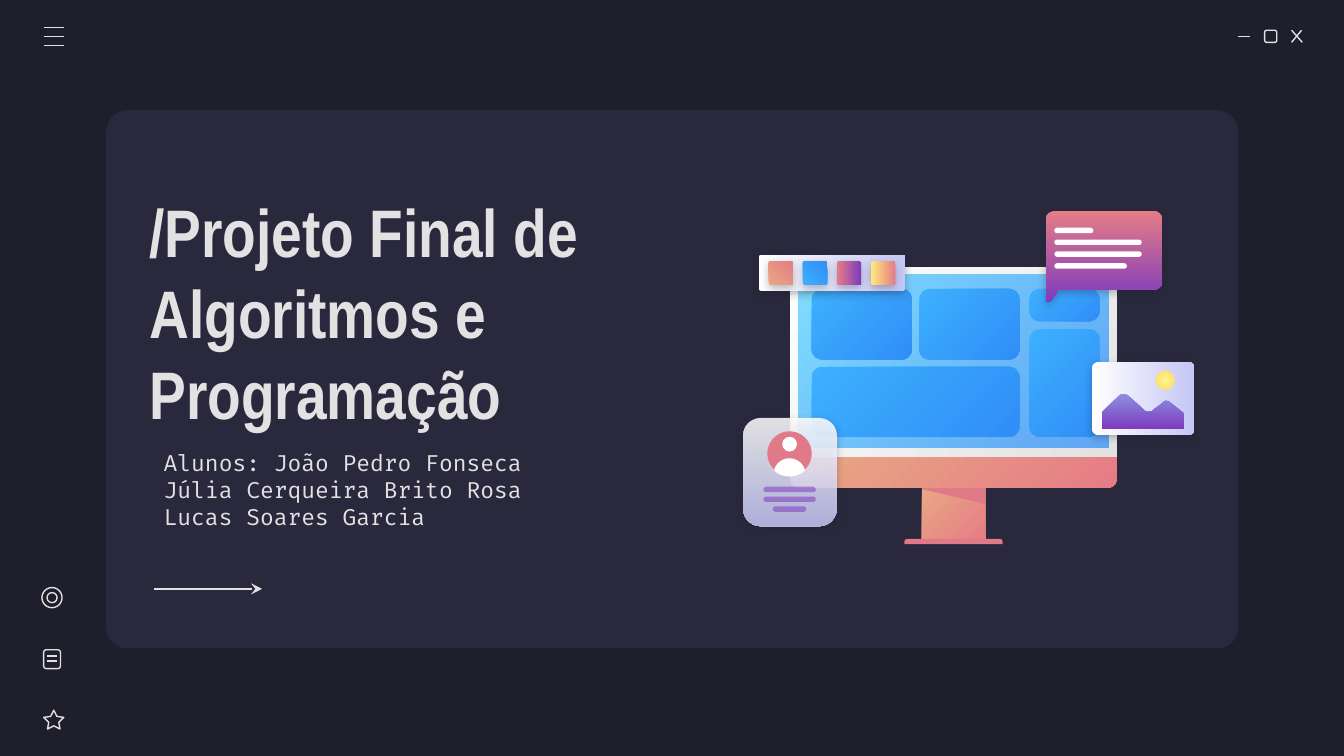
from lxml.etree import SubElement
from pptx import Presentation
from pptx.dml.color import RGBColor as RGB
from pptx.enum.shapes import MSO_CONNECTOR as Conn, MSO_SHAPE as Geo
from pptx.enum.text import MSO_ANCHOR as Anchor
from pptx.oxml.ns import qn
from pptx.util import Emu, Inches, Pt

W = Inches(10)
H = Emu(W * 9 // 16)
COLS, ROWS = 100, 100 * 9 / 16

T = {
    "bg": "1E1E2C", "ink": "E2E2E2", "stroke": 0.75,
    "title": ("Arial Narrow", 36, True), "body": ("Fira Code", 12, False),
    "fills": {
        "panel": (None, ("29283D", 100)),
        "white": (None, ("FFFFFF", 100)),
        "rose": (None, ("E07A88", 100)),
        "violet": (None, ("7E3BBE", 54)),
        "warm": (45, ("E9A984", 100), ("E57C85", 100)),
        "bezel": (45, ("FFFFFF", 100), ("E2E2E2", 100)),
        "screen": (45, ("80DFFF", 100), ("318FFA", 72)),
        "blue": (45, ("3DB0FD", 100), ("308EF7", 100)),
        "sunset": (90, ("E57C85", 100), ("7E3BBE", 100)),
        "glass": (90, ("FFFFFF", 86), ("C5C7F4", 86)),
        "paper": (90, ("FFFFFF", 100), ("C5C7F4", 100)),
        "dusk": (90, ("8D90E1", 100), ("7E3BBE", 100)),
        "gold": (90, ("FFEA7D", 100), ("E57C85", 100)),
        "sun": ("circle", ("FFF68E", 100), ("FFD966", 100)),
    },
}

TEXTS = [
    ((11.2, 34.15, 32.4, 4.6), "body",
     ["Alunos: João Pedro Fonseca", "Júlia Cerqueira Brito Rosa", "Lucas Soares Garcia"]),
    ((10.15, 14.4, 44.7, 17.6), "title", ["/Projeto Final de Algoritmos e Programação"]),
]

TILES = [(60.4, 21.5, 7.45, 5.25), (60.4, 27.3, 15.45, 5.2), (68.4, 21.5, 7.45, 5.25),
         (76.6, 21.5, 5.2, 2.4), (76.6, 24.5, 5.2, 8)]
MESSAGE_WIDTHS = [2.9, 6.5, 6.5, 5.4]
PROFILE_WIDTHS = [3.9, 3.9, 2.5]
SWATCHES = ["warm", "blue", "sunset", "gold"]

BUBBLE = [(78.5, 15.7), (78.1, 15.7, 77.8, 16, 77.8, 16.4), (77.8, 22.4),
          (77.8, 22.5, 77.9, 22.5, 78, 22.5), (78.1, 22.5), (78.8, 21.55), (85.9, 21.55),
          (86.2, 21.55, 86.5, 21.2, 86.5, 20.9), (86.5, 16.4),
          (86.5, 16, 86.2, 15.7, 85.9, 15.7)]
SHOULDERS = [(58.75, 34.1), (58.2, 34.1, 57.7, 34.5, 57.6, 35),
             (57.9, 35.3, 58.3, 35.45, 58.75, 35.45),
             (59.2, 35.45, 59.6, 35.3, 59.9, 35), (59.8, 34.5, 59.3, 34.1, 58.75, 34.1)]
HILLS = [(83.6, 29.3), (83.5, 29.3, 83.4, 29.3, 83.3, 29.4), (82.1, 30.6),
         (82, 30.7, 82, 30.7, 82, 30.8), (82, 31.9), (88.1, 31.9), (88.1, 30.9),
         (88.1, 30.8, 88, 30.7, 88, 30.7), (87, 29.9),
         (86.8, 29.8, 86.6, 29.8, 86.5, 30), (85.7, 30.6),
         (85.5, 30.7, 85.3, 30.7, 85.1, 30.5), (83.9, 29.4), (83.8, 29.3, 83.7, 29.3, 83.6, 29.3)]


def x(cols):
    return Emu(round(W * cols / COLS))


def y(rows):
    return Emu(round(H * rows / ROWS))


def paint(sp, fill, shadow=False):
    sp.shadow.inherit = False
    if fill is None:
        sp.fill.background()
        sp.line.color.rgb = RGB.from_string(T["ink"])
        sp.line.width = Pt(T["stroke"])
        return sp
    angle, *stops = T["fills"][fill]
    sp.line.fill.background()
    if angle is None:
        sp.fill.solid()
        colors = [sp.fill.fore_color]
    else:
        sp.fill.gradient()
        colors = [stop.color for stop in sp.fill.gradient_stops]
    for color, (value, _) in zip(colors, stops):
        color.rgb = RGB.from_string(value)
    props = sp._element.spPr
    for node, (_, alpha) in zip(list(props.iter(qn("a:srgbClr"))), stops):
        if alpha < 100:
            SubElement(node, qn("a:alpha"), val=str(alpha * 1000))
    if angle == "circle":
        grad = props.find(qn("a:gradFill"))
        grad.remove(grad.find(qn("a:lin")))
        radial = SubElement(grad, qn("a:path"), path="circle")
        SubElement(radial, qn("a:fillToRect"), l="50000", t="50000", r="50000", b="50000")
    elif angle:
        sp.fill.gradient_angle = 360 - angle
    if shadow:
        outer = SubElement(props.find(qn("a:effectLst")), qn("a:outerShdw"), blurRad=str(Pt(4.5)),
                           dist=str(Pt(1.5)), dir="5400000", algn="bl", rotWithShape="0")
        node = SubElement(outer, qn("a:srgbClr"), val=T["bg"])
        SubElement(node, qn("a:alpha"), val="30000")
    return sp


def shape(g, geo, box, fill=None, shadow=False, adj=(), turn=0):
    left, top, w, h = box
    sp = paint(g.shapes.add_shape(geo, x(left), y(top), x(w), y(h)), fill, shadow)
    for i, value in enumerate(adj):
        sp.adjustments[i] = value
    sp.rotation = turn
    return sp


def rounded(g, box, radius, fill=None, shadow=False, turn=0):
    return shape(g, Geo.ROUNDED_RECTANGLE, box, fill, shadow, [radius / min(box[2:])], turn)


def outline(g, path, fill, shadow=False, steps=8):
    points = []
    for step in path:
        if len(step) == 2:
            points.append(step)
            continue
        a, b, c, d = points[-1], step[:2], step[2:4], step[4:]
        for t in (i / steps for i in range(1, steps + 1)):
            u = 1 - t
            points.append(tuple(u**3 * a[k] + 3 * u * u * t * b[k] + 3 * u * t * t * c[k] + t**3 * d[k]
                                for k in (0, 1)))
    points = [(x(px), y(py)) for px, py in points]
    builder = g.shapes.build_freeform(*points[0])
    builder.add_line_segments(points[1:], close=True)
    return paint(builder.convert_to_shape(), fill, shadow)


def line(g, x1, y1, x2, y2, head=None):
    c = g.shapes.add_connector(Conn.STRAIGHT, x(x1), y(y1), x(x2), y(y2))
    c.line.color.rgb = RGB.from_string(T["ink"])
    c.line.width = Pt(T["stroke"])
    props = c._element.spPr
    if head:
        SubElement(props.find(qn("a:ln")), qn("a:tailEnd"), type=head)
    SubElement(props, qn("a:effectLst"))


def text(s, box, style, lines):
    left, top, w, h = box
    tf = s.shapes.add_textbox(x(left), y(top), x(w), y(h)).text_frame
    tf.word_wrap, tf.vertical_anchor = True, Anchor.MIDDLE
    tf.margin_left = tf.margin_right = tf.margin_top = tf.margin_bottom = Inches(0.1)
    tf.text = "\n".join(lines)
    name, size, bold = T[style]
    for p in tf.paragraphs:
        for r in p.runs:
            r.font.name, r.font.size, r.font.bold = name, Pt(size), bold
            r.font.color.rgb = RGB.from_string(T["ink"])


prs = Presentation()
prs.slide_width, prs.slide_height = W, H
s = prs.slides.add_slide(prs.slide_layouts[6])
s.background.fill.solid()
s.background.fill.fore_color.rgb = RGB.from_string(T["bg"])
rounded(s, (7.9, 8.2, 84.25, 40.05), 1.6, "panel")

window = s.shapes.add_group_shape()
line(window, 92.1, 2.7, 93, 2.7)
rounded(window, (94.1, 2.25, 0.9, 0.9), 0.15)
line(window, 96.1, 2.25, 96.9, 3.15)
line(window, 96.85, 2.25, 96.1, 3.15)

for item in TEXTS:
    text(s, *item)

monitor = s.shapes.add_group_shape()
shape(monitor, Geo.RECTANGLE, (68.6, 36.1, 4.7, 4.3), "warm")
shape(monitor, Geo.ROUND_2_SAME_RECTANGLE, (67.3, 40.1, 7.3, 0.4), "rose", adj=(0.5, 0))
outline(monitor, [(68.6, 36.1), (68.6, 36.4), (73.3, 37.5), (73.3, 36.1)], "rose")
shape(monitor, Geo.ROUND_2_SAME_RECTANGLE, (58.8, 33.9, 24.3, 2.4), "warm", adj=(0, 0.27))
shape(monitor, Geo.ROUND_2_SAME_RECTANGLE, (58.8, 19.9, 24.3, 14.1), "bezel", adj=(0.04, 0))
shape(monitor, Geo.RECTANGLE, (59.4, 20.45, 23.1, 12.85), "screen")
for tile in TILES:
    rounded(monitor, tile, 0.77, "blue")

message = s.shapes.add_group_shape()
outline(message, BUBBLE, "sunset", True)
for i, w in enumerate(MESSAGE_WIDTHS):
    rounded(message, (78.45, 16.95 + 0.88 * i, w, 0.4), 0.2, "white")

menu = s.shapes.add_group_shape()
for i in range(3):
    line(menu, 3.25, 2.05 + 0.67 * i, 4.75, 2.05 + 0.67 * i)

profile = s.shapes.add_group_shape()
rounded(profile, (55.3, 31.1, 6.95, 8.05), 1.29, "glass", True)
shape(profile, Geo.OVAL, (57.1, 32.1, 3.3, 3.3), "rose")
shape(profile, Geo.OVAL, (58.2, 32.5, 1.1, 1.1), "white")
outline(profile, SHOULDERS, "white")
for i, w in enumerate(PROFILE_WIDTHS):
    rounded(profile, (58.75 - w / 2, 36.22 + 0.73 * i, w, 0.4), 0.2, "violet")

photo = s.shapes.add_group_shape()
rounded(photo, (82.35, 25.85, 5.4, 7.6), 0.4, "paper", True, 270)
outline(photo, HILLS, "dusk")
shape(photo, Geo.OVAL, (86, 27.6, 1.4, 1.4), "sun")

palette = s.shapes.add_group_shape()
rounded(palette, (60.55, 14.85, 2.7, 10.9), 0.2, "paper", True, 270)
for i, fill in enumerate(SWATCHES):
    rounded(palette, (57.22 + 2.54 * i, 19.42, 1.75, 1.8), 0.13, fill, True, 270)

sidebar = s.shapes.add_group_shape()
shape(sidebar, Geo.STAR_5_POINT, (3.25, 52.85, 1.5, 1.4), adj=[0.25])
rounded(sidebar, (3.25, 48.35, 1.25, 1.4), 0.2)
for row in (48.8, 49.2):
    line(sidebar, 3.5, row, 4.25, row)
for size in (1.5, 0.75):
    shape(sidebar, Geo.OVAL, (3.87 - size / 2, 44.47 - size / 2, size, size))

line(s, 11.45, 43.82, 19.5, 43.82, "stealth")
prs.save("out.pptx")
